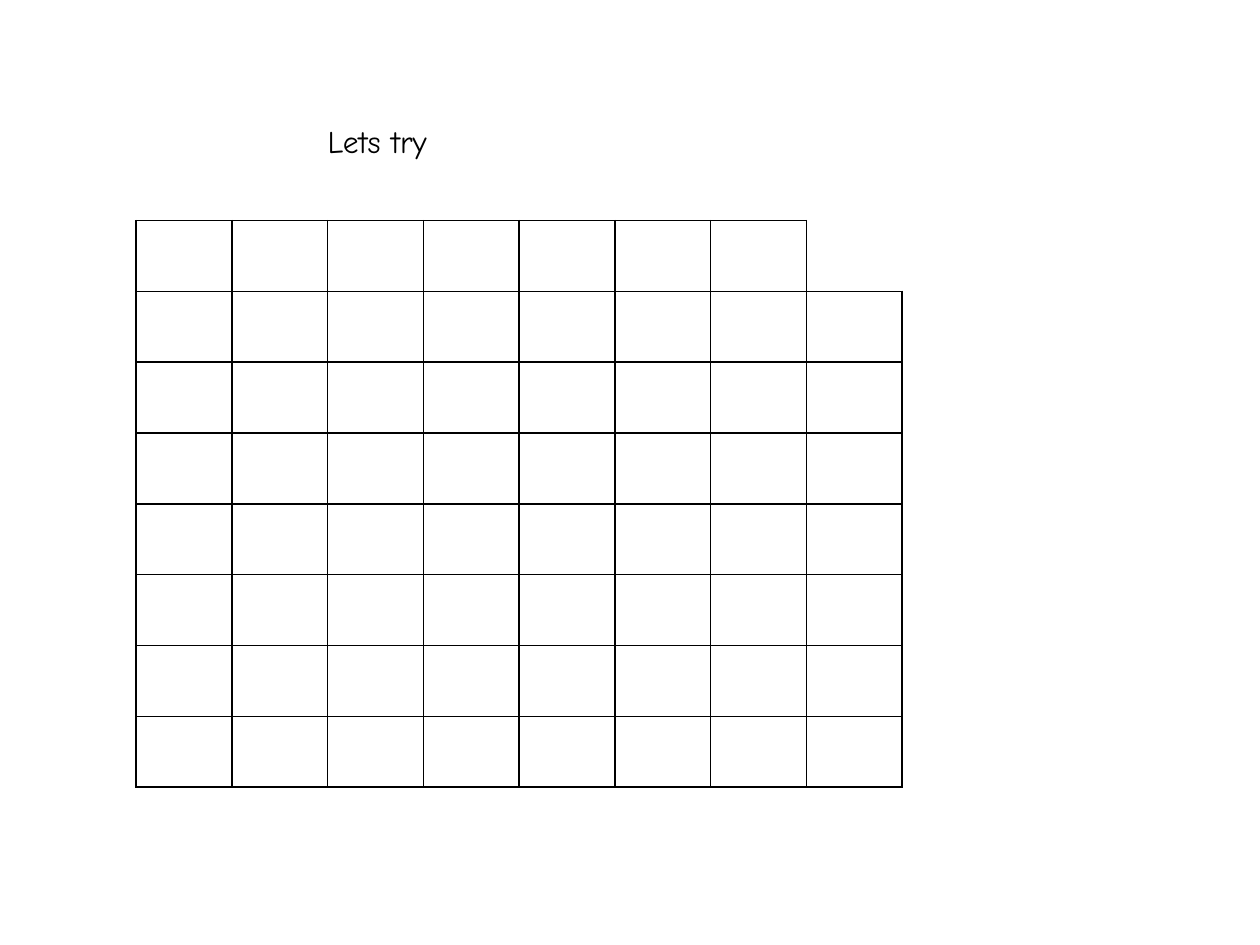
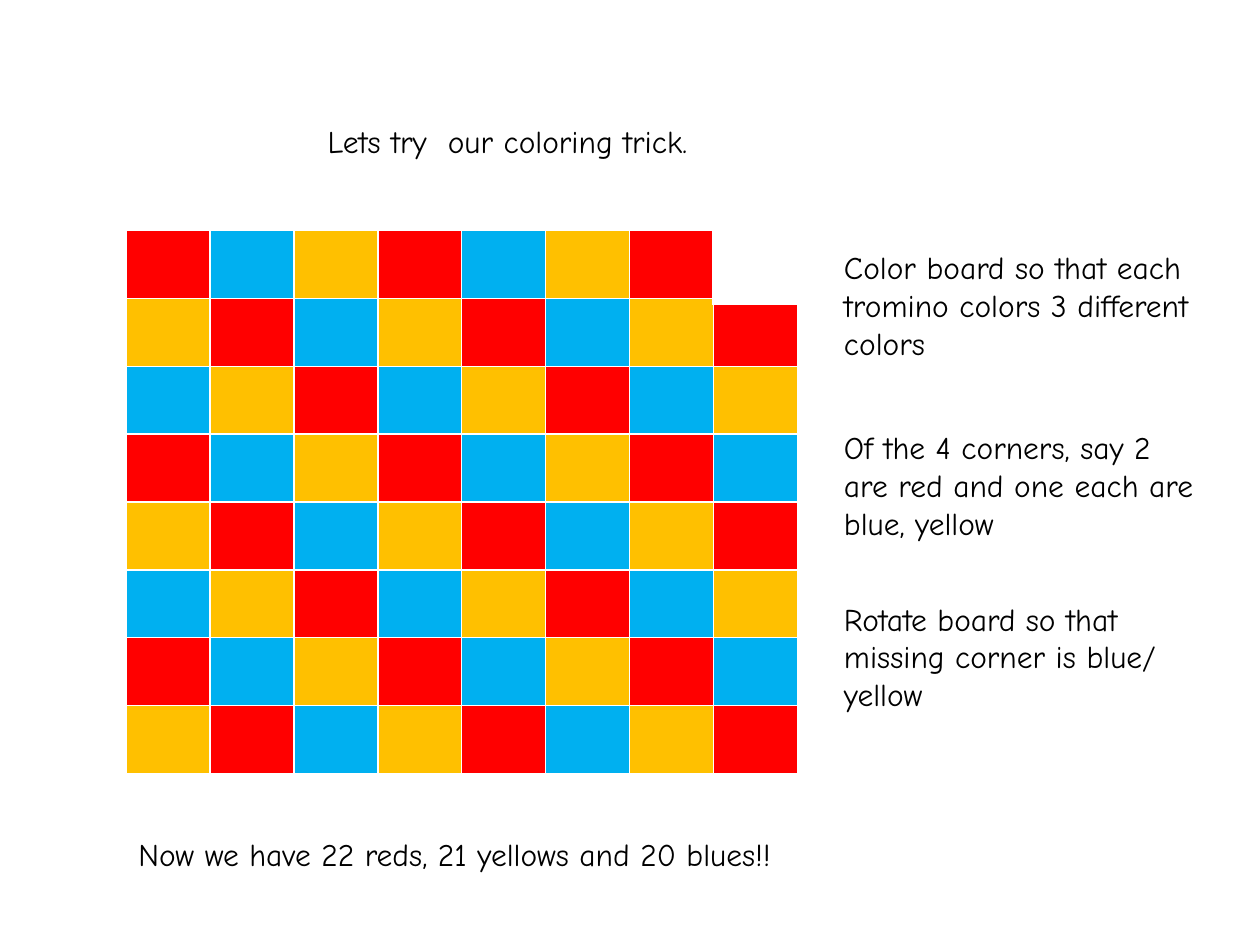
from dataclasses import dataclass

from pptx import Presentation
from pptx.dml.color import RGBColor
from pptx.enum.text import MSO_ANCHOR, MSO_AUTO_SIZE, PP_ALIGN
from pptx.oxml import parse_xml
from pptx.oxml.ns import nsdecls
from pptx.util import Inches, Pt

BOARD_SIZE = 8
TITLE_ONLY = 5


@dataclass(frozen=True)
class Theme:
    font: str = "Comic Neue"
    text_size: int = 18
    black: str = "000000"
    white: str = "FFFFFF"
    red: str = "FF0000"
    blue: str = "00B0F0"
    yellow: str = "FFC000"


def write_text(shape, text, *, theme, wrap=True):
    frame = shape.text_frame
    frame.word_wrap = wrap
    frame.auto_size = MSO_AUTO_SIZE.SHAPE_TO_FIT_TEXT
    frame.vertical_anchor = MSO_ANCHOR.TOP
    para = frame.paragraphs[0]
    para.alignment = PP_ALIGN.LEFT
    span = para.add_run()
    span.text = text
    span.font.name = theme.font
    span.font.size = Pt(theme.text_size)
    span.font.color.rgb = RGBColor.from_string(theme.black)


def set_borders(cell, color, sides="LRTB", bottom_width=1):
    """Draw the named sides of a cell and clear the others."""
    properties = cell._tc.get_or_add_tcPr()
    for index, side in enumerate("LRTB"):
        width = Pt(bottom_width if side == "B" else 1)
        paint = (f'<a:solidFill><a:srgbClr val="{color}"/></a:solidFill>'
                 if side in sides else "<a:noFill/>")
        properties.insert(index, parse_xml(
            f'<a:ln{side} {nsdecls("a")} w="{width}">{paint}</a:ln{side}>'))


class BoardDeck:
    def __init__(self, theme):
        self.theme = theme
        self.deck = Presentation()
        self.deck.slide_width = Inches(10)
        self.deck.slide_height = Inches(7.5)
        self.page = None

    def add_page(self, title, title_width):
        self.page = self.deck.slides.add_slide(self.deck.slide_layouts[TITLE_ONLY])
        box = self.page.shapes.title
        box.left, box.top = Inches(2.5), Inches(0.92)
        box.width, box.height = Inches(title_width), Inches(0.4)
        write_text(box, title, theme=self.theme, wrap=False)

    def add_note(self, text, left, top, width, height, wrap=True):
        box = self.page.shapes.add_textbox(
            Inches(left), Inches(top), Inches(width), Inches(height))
        write_text(box, text, theme=self.theme, wrap=wrap)

    def add_grid(self, left, top, width, height, *, size, fill_at, border,
                 sides_at=lambda row, column: "LRTB", bottom_width=1):
        """Add a square table whose fills and borders follow row and column."""
        table = self.page.shapes.add_table(
            size, size, Inches(left), Inches(top), Inches(width), Inches(height)).table
        for line in table.columns:
            line.width = Inches(width / size)
        for line in table.rows:
            line.height = Inches(height / size)
        for row in range(size):
            for column in range(size):
                cell = table.cell(row, column)
                cell.fill.solid()
                cell.fill.fore_color.rgb = RGBColor.from_string(fill_at(row, column))
                set_borders(cell, border, sides_at(row, column), bottom_width)


def main():
    theme = Theme()
    board = BoardDeck(theme)
    diagonal_colors = (theme.red, theme.blue, theme.yellow)

    def white_fill(row, column):
        return theme.white

    def diagonal_fill(row, column):
        return diagonal_colors[(column - row) % len(diagonal_colors)]

    def open_corner(row, column):
        return "LB" if (row, column) == (0, BOARD_SIZE - 1) else "LRTB"

    board.add_page("Lets try", 1.17)
    board.add_grid(1.08, 1.75, 6.08, 4.5, size=BOARD_SIZE, fill_at=white_fill,
                   border=theme.black, sides_at=open_corner)

    board.add_page("Lets try  our coloring trick.", 3.49)
    board.add_grid(1, 1.83, 5.33, 4.31, size=BOARD_SIZE, fill_at=diagonal_fill,
                   border=theme.white)
    steps = (
        (1.92, "Color board so that each tromino colors 3 different colors"),
        (3.35, "Of the 4 corners, say 2 are red and one each are blue, yellow"),
        (4.71, "Rotate board so that missing corner is blue/ yellow"),
    )
    for top, text in steps:
        board.add_note(text, 6.6, top, 3.06, 1.01)
    board.add_note("Now we have 22 reds, 21 yellows and 20 blues!!",
                   1, 6.58, 5.7, 0.4, wrap=False)
    # The missing corner is a single white cell laid over the board.
    board.add_grid(5.66, 1.81, 0.67, 0.59, size=1, fill_at=white_fill,
                   border=theme.white, bottom_width=3)

    board.deck.save("out.pptx")


if __name__ == "__main__":
    main()
